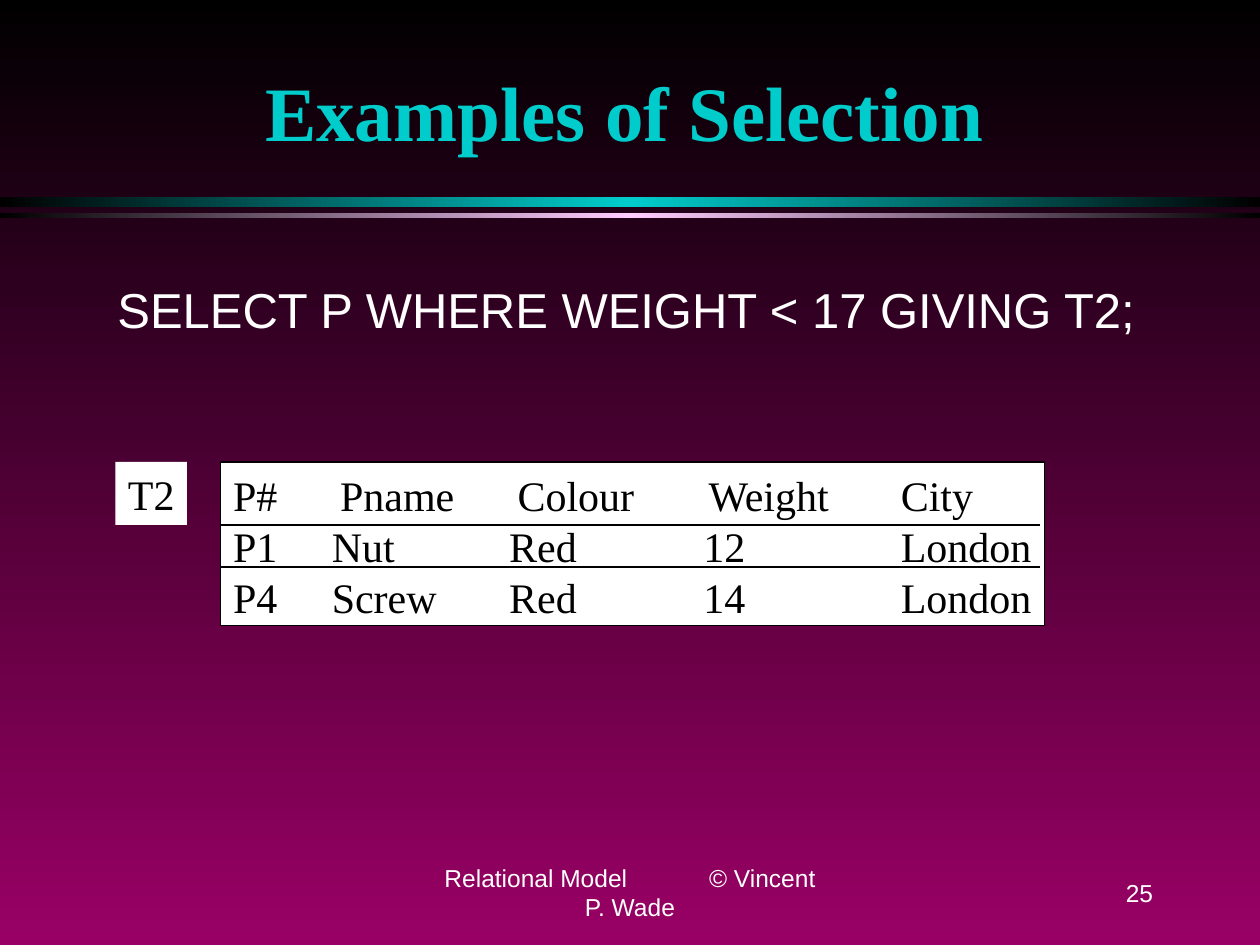
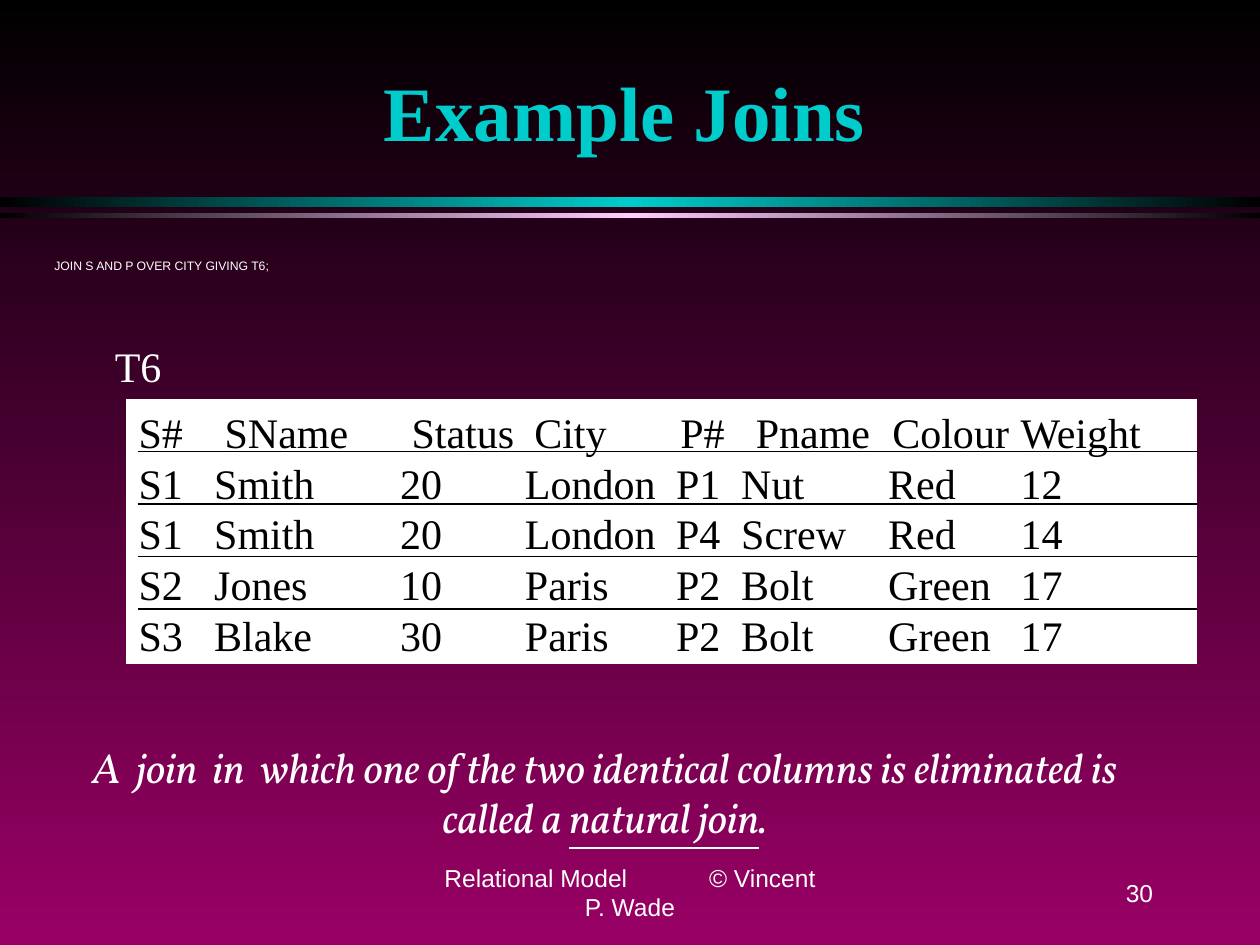
from copy import deepcopy

from lxml import etree
from pptx import Presentation
from pptx import util as u
from pptx.dml.color import RGBColor
from pptx.enum import shapes, text
from pptx.oxml import ns

rgb = RGBColor.from_string
BLACK, WHITE, TEAL, PINK, MAGENTA = "000000", "FFFFFF", "00CCCC", "FFCCFF", "990066"
SERIF, SANS, BOOK = "Times New Roman", "Arial", "Vollkorn"
LEFT, CENTER, RIGHT = text.PP_ALIGN.LEFT, text.PP_ALIGN.CENTER, text.PP_ALIGN.RIGHT
MIDDLE = text.MSO_ANCHOR.MIDDLE

deck = Presentation()
deck.slide_width, deck.slide_height = u.Inches(10), u.Inches(7.5)
UNIT = deck.slide_width / 120


def grid(*counts):
    return [round(UNIT * count) for count in counts]


def write(frame, words, size=24, font=SERIF, color=WHITE, align=LEFT,
          bold=False, italic=False, underline=False):
    paragraph = frame.paragraphs[0]
    paragraph.alignment = align
    run = paragraph.add_run()
    run.text = words
    run.font.size, run.font.name = u.Pt(size), font
    run.font.bold, run.font.italic, run.font.underline = bold, italic, underline
    run.font.color.rgb = rgb(color)


examples = [
    dict(
        title="Examples of Selection", number="25",
        query="SELECT P WHERE WEIGHT < 17 GIVING T2;",
        query_box=(10, 26, 104, 6), query_size=28,
        relation="T2", relation_box=(11, 44, 6.8, 6),
        relation_color=BLACK, relation_fill=WHITE,
        corner=(21, 44), frame_width=0.75,
        columns=(10, 16.9, 18.5, 18.8, 14.3), rows=(5.8, 4.8, 5),
        rule_span=(21, 99), rules=range(50, 55, 4),
        header_shifts=(0, 0.8, 0.8, 0.5, 0),
        values=[
            ("P#", "Pname", "Colour", "Weight", "City"),
            ("P1", "Nut", "Red", "12", "London"),
            ("P4", "Screw", "Red", "14", "London"),
        ],
        remark=[],
    ),
    dict(
        title="Example Joins", number="30",
        query="JOIN S AND P OVER CITY GIVING T6;",
        query_box=(4, 24, 113, 11), query_size=7,
        relation="T6", relation_box=(9.75, 31.8, 6.8, 6),
        relation_color=WHITE, relation_fill=None,
        corner=(12, 38), frame_width=0,
        columns=(7.8, 17.7, 11.9, 14.4, 6.2, 14, 12.6, 17.4),
        rows=(5.8, 4.8, 4.8, 4.8, 5),
        rule_span=(13.1, 114), rules=range(43, 59, 5),
        header_shifts=(0, 1, 1.1, 0.9, 0.4, 1.4, 0.4, 0),
        values=[
            ("S#", "SName", "Status", "City", "P#", "Pname", "Colour", "Weight"),
            ("S1", "Smith", "20", "London", "P1", "Nut", "Red", "12"),
            ("S1", "Smith", "20", "London", "P4", "Screw", "Red", "14"),
            ("S2", "Jones", "10", "Paris", "P2", "Bolt", "Green", "17"),
            ("S3", "Blake", "30", "Paris", "P2", "Bolt", "Green", "17"),
        ],
        remark=[
            ("A  join  in  which one of the two identical columns is eliminated is called a ", False),
            ("natural join", True),
            (".", False),
        ],
    ),
]

title_only = deck.slide_layouts[5]
slides = [deck.slides.add_slide(title_only) for example in examples]

master = deck.slide_master
backdrop = master.background.fill
backdrop.gradient()
backdrop.gradient_angle = 270
for stop, color in zip(backdrop.gradient_stops, (BLACK, MAGENTA)):
    stop.color.rgb = rgb(color)

for order, (top, height, glow) in enumerate([(18.75, 1, TEAL), (20.25, 0.5, PINK)]):
    band = slides[0].shapes.add_shape(
        shapes.MSO_SHAPE.RECTANGLE, *grid(0, top, 120, height))
    band.shadow.inherit = False
    band.line.fill.background()
    band.fill.gradient()
    band.fill.gradient_angle = 0
    stops = band._element.spPr.find(".//" + ns.qn("a:gsLst"))
    stops.append(deepcopy(stops[0]))
    for stop, position in zip(stops, (0, 50000, 100000)):
        stop.set("pos", str(position))
    for stop, color in zip(band.fill.gradient_stops, (BLACK, glow, BLACK)):
        stop.color.rgb = rgb(color)
    band._element.nvSpPr.cNvPr.set("id", str(100 + order))
    master.shapes._spTree.insert(2 + order, band._element)

for slide, example in zip(slides, examples):
    title = slide.shapes.title
    title.left, title.top, title.width, title.height = grid(8, 3, 103, 15)
    title.text_frame.vertical_anchor = MIDDLE
    write(title.text_frame, example["title"], size=44, color=TEAL, align=CENTER, bold=True)

    query = slide.shapes.add_textbox(*grid(*example["query_box"])).text_frame
    query.word_wrap = True
    write(query, example["query"], size=example["query_size"], font=SANS)

    relation = slide.shapes.add_textbox(*grid(*example["relation_box"]))
    relation.text_frame.word_wrap = True
    relation.text_frame.margin_right = 0
    if example["relation_fill"]:
        relation.fill.solid()
        relation.fill.fore_color.rgb = rgb(example["relation_fill"])
    write(relation.text_frame, example["relation"], color=example["relation_color"])

    columns, rows = example["columns"], example["rows"]
    tuples = slide.shapes.add_table(
        len(rows), len(columns),
        *grid(*example["corner"], sum(columns), sum(rows))).table
    tuples.first_row = tuples.horz_banding = False
    for column, width in zip(tuples.columns, grid(*columns)):
        column.width = width
    for row, height in zip(tuples.rows, grid(*rows)):
        row.height = height
    for r, record in enumerate(example["values"]):
        for c, value in enumerate(record):
            cell = tuples.cell(r, c)
            indent = 0.6 if c else 1.2
            shift, drop = (example["header_shifts"][c], 0.9) if r == 0 else (0, 0)
            cell.margin_left, cell.margin_top = grid(indent + shift, drop)
            cell.margin_right = cell.margin_bottom = 0
            cell.vertical_anchor = MIDDLE
            write(cell.text_frame, value, color=BLACK)
            outer_sides = {
                "lnL": c == 0, "lnR": c == len(columns) - 1,
                "lnT": r == 0, "lnB": r == len(rows) - 1,
            }
            properties = cell._tc.get_or_add_tcPr()
            for side, outer in outer_sides.items():
                points = example["frame_width"] if outer else 0
                border = etree.SubElement(properties, ns.qn("a:" + side), w=str(u.Pt(points)))
                if points:
                    ink = etree.SubElement(border, ns.qn("a:solidFill"))
                    etree.SubElement(ink, ns.qn("a:srgbClr"), val=BLACK)
                else:
                    etree.SubElement(border, ns.qn("a:noFill"))
            cell.fill.solid()
            cell.fill.fore_color.rgb = rgb(WHITE)

    start, end = example["rule_span"]
    for level in example["rules"]:
        rule = slide.shapes.add_connector(
            shapes.MSO_CONNECTOR.STRAIGHT, *grid(start, level, end, level))
        rule.line.color.rgb = rgb(BLACK)
        rule.line.width = u.Pt(1)
        etree.SubElement(rule._element.spPr, ns.qn("a:effectLst"))

    if example["remark"]:
        remark = slide.shapes.add_textbox(*grid(5, 70, 105.2, 15.6)).text_frame
        remark.word_wrap = True
        for words, underline in example["remark"]:
            write(remark, words, font=BOOK, align=CENTER, italic=True, underline=underline)

    for box, words, align in [
        ((41, 82, 38, 6), "Relational Model\t© Vincent P. Wade", CENTER),
        ((86, 82, 25, 6), example["number"], RIGHT),
    ]:
        footer = slide.shapes.add_textbox(*grid(*box)).text_frame
        footer.word_wrap = True
        footer.vertical_anchor = MIDDLE
        write(footer, words, size=14, font=SANS, align=align)
        if "\t" in words:
            tabs = etree.SubElement(
                footer.paragraphs[0]._p.get_or_add_pPr(), ns.qn("a:tabLst"))
            etree.SubElement(tabs, ns.qn("a:tab"), pos=str(grid(25.2)[0]), algn="l")

deck.save("out.pptx")
